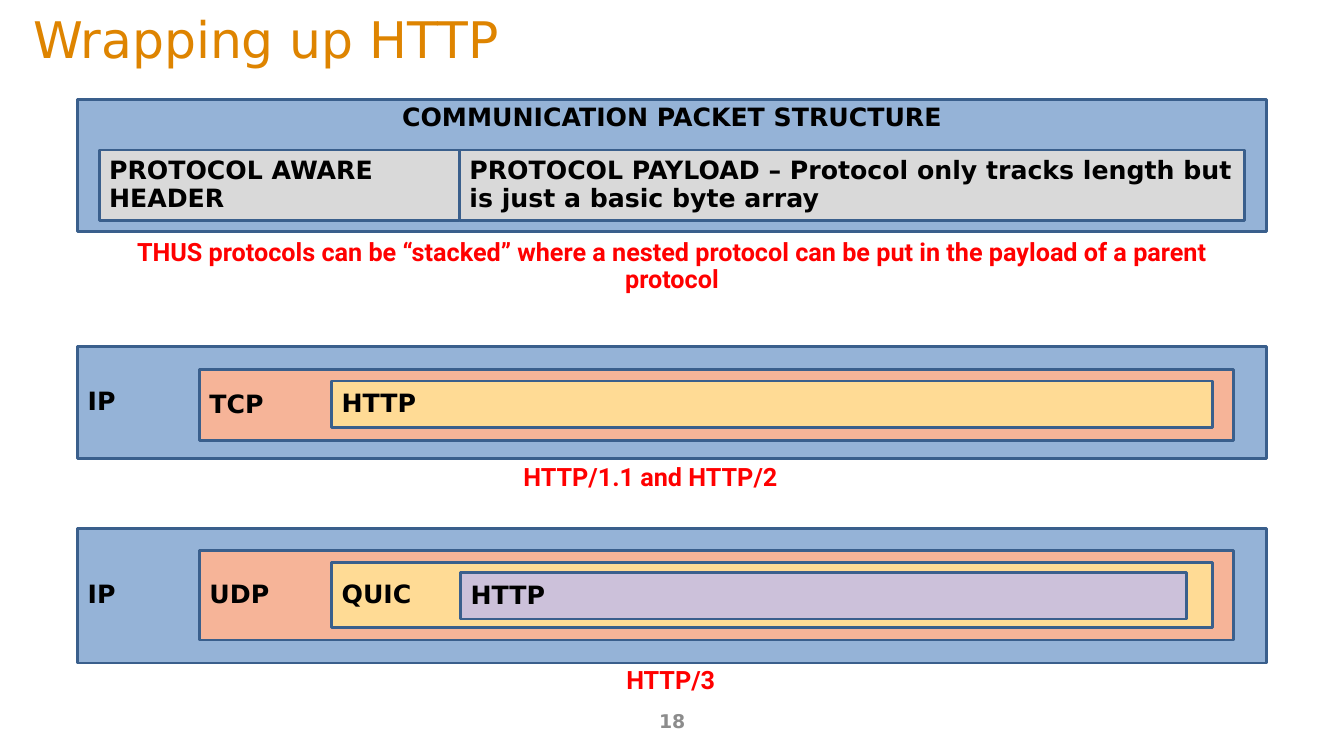
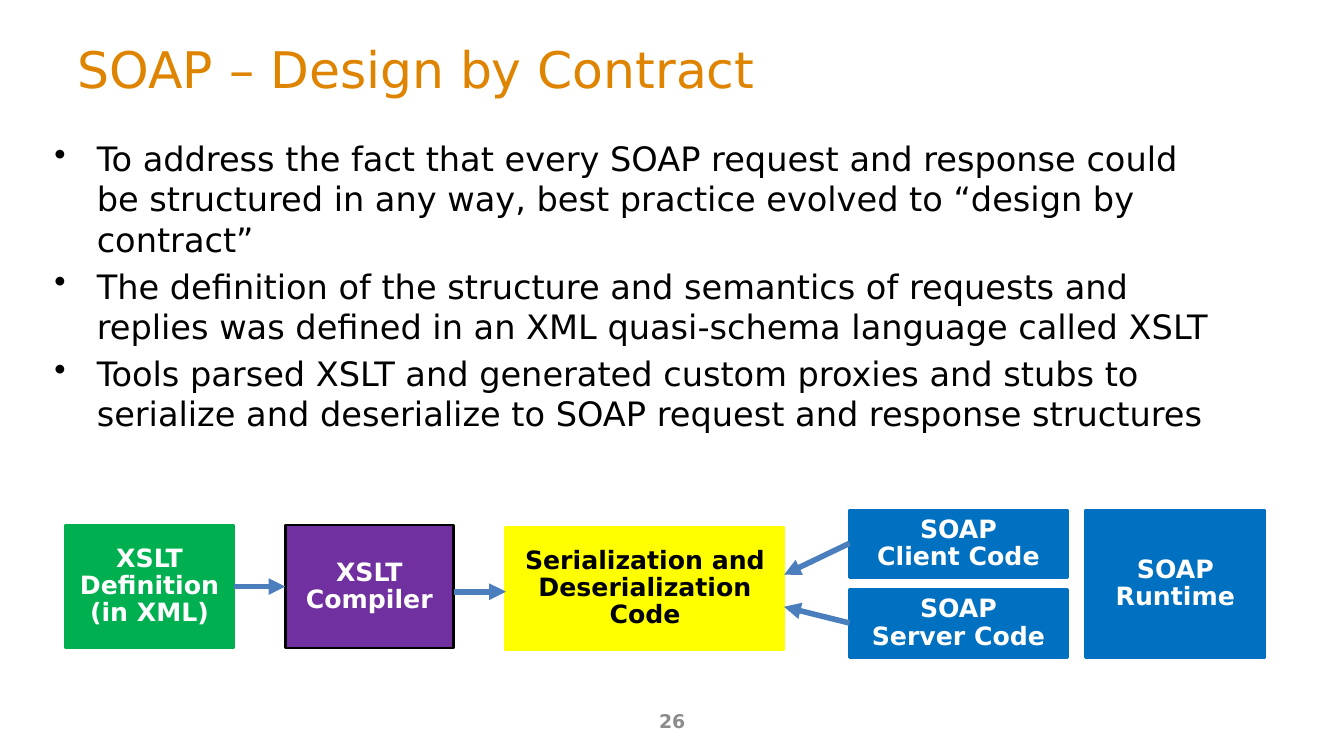
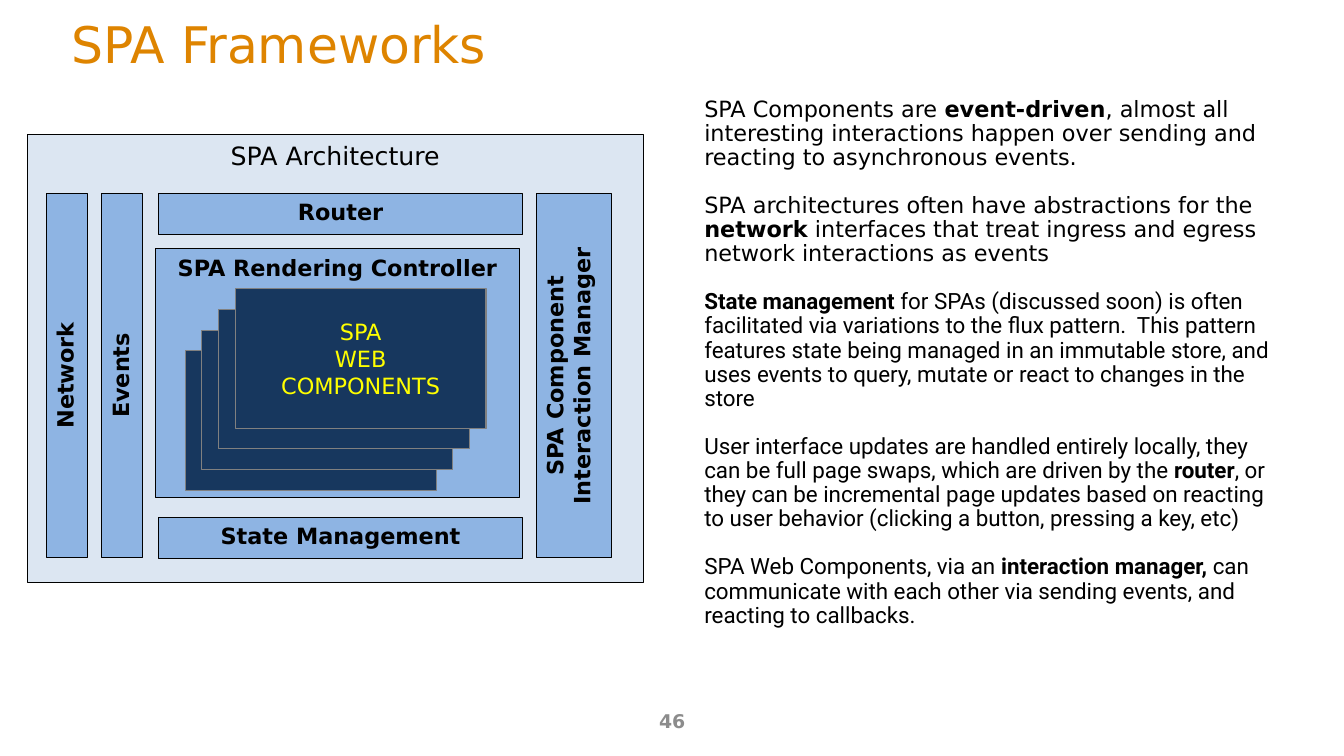
"""Build three slides on protocol stacks, SOAP contracts and SPA frameworks."""
from lxml.etree import SubElement
from pptx import Presentation
from pptx.dml.color import RGBColor
from pptx.enum.shapes import MSO_CONNECTOR, MSO_SHAPE
from pptx.enum.text import MSO_ANCHOR, PP_ALIGN
from pptx.oxml.ns import qn
from pptx.util import Cm, Pt

ORANGE = RGBColor(0xDE, 0x84, 0x00)
GRAY = RGBColor(0x8C, 0x8C, 0x8C)
BLACK = RGBColor(0x00, 0x00, 0x00)
WHITE = RGBColor(0xFF, 0xFF, 0xFF)
RED = RGBColor(0xFF, 0x00, 0x00)
YELLOW = RGBColor(0xFF, 0xFF, 0x00)
GREEN = RGBColor(0x00, 0xB0, 0x50)
PURPLE = RGBColor(0x70, 0x30, 0xA0)
BLUE = RGBColor(0x00, 0x70, 0xC0)
ARROW_BLUE = RGBColor(0x4B, 0x7E, 0xBC)
STEEL = RGBColor(0x95, 0xB3, 0xD7)
STEEL_EDGE = RGBColor(0x3A, 0x5F, 0x8C)
SALMON = RGBColor(0xF6, 0xB4, 0x98)
GOLD = RGBColor(0xFF, 0xDB, 0x95)
LILAC = RGBColor(0xCC, 0xC1, 0xDA)
SILVER = RGBColor(0xD9, 0xD9, 0xD9)
PALE_BLUE = RGBColor(0xDC, 0xE6, 0xF2)
SKY = RGBColor(0x8E, 0xB4, 0xE3)
NAVY = RGBColor(0x17, 0x37, 0x5E)
NAVY_EDGE = RGBColor(0x80, 0x80, 0x80)
MAIN_FONT = "DejaVu Sans"
SECOND_FONT = "Roboto"


def write_text(box, text, size=18, color=BLACK, bold=False, font=MAIN_FONT,
               align=PP_ALIGN.LEFT, anchor=MSO_ANCHOR.MIDDLE, spacing=1.0,
               gap=0, bullet_indent=None):
    """Write one paragraph per line of text; ** toggles bold."""
    frame = box.text_frame
    frame.word_wrap = True
    frame.vertical_anchor = anchor
    for index, line in enumerate(text.split("\n")):
        para = frame.add_paragraph() if index else frame.paragraphs[0]
        para.alignment = align
        para.line_spacing = spacing
        para.space_before = Pt(gap if index else 0)
        if bullet_indent:
            properties = para._p.get_or_add_pPr()
            properties.set("marL", str(Cm(bullet_indent)))
            properties.set("indent", str(-Cm(bullet_indent)))
            SubElement(properties, qn("a:buChar")).set("char", "•")
        for part, words in enumerate(line.split("**")):
            span = para.add_run()
            span.text = words
            span.font.name = font
            span.font.size = Pt(size)
            span.font.bold = bold or part % 2 == 1
            span.font.color.rgb = color


def add_box(page, text, place, fill=None, edge=None, edge_width=2, rotation=0, **text_format):
    """Add a filled rectangle, or a plain text box when there is no fill."""
    place = [Cm(length) for length in place]
    if fill is None:
        box = page.shapes.add_textbox(*place)
    else:
        box = page.shapes.add_shape(MSO_SHAPE.RECTANGLE, *place)
        box.shadow.inherit = False
        box.fill.solid()
        box.fill.fore_color.rgb = fill
        box.line.color.rgb = edge
        box.line.width = Pt(edge_width)
        box.rotation = rotation
    if text:
        write_text(box, text, **text_format)
    return box


deck = Presentation()
deck.slide_width = Cm(33.87)
deck.slide_height = Cm(19.05)

pages = []
for title, number, left, top, width in [
    ("Wrapping up HTTP", "18", 0.58, 0, 32.66),
    ("SOAP – Design by Contract", "26", 1.7, 0.76, 30.48),
    ("SPA Frameworks", "46", 1.55, 0.13, 30.38),
]:
    page = deck.slides.add_slide(deck.slide_layouts[5])
    heading = page.shapes.title
    heading.left, heading.top = Cm(left), Cm(top)
    heading.width, heading.height = Cm(width), Cm(1.93)
    write_text(heading, title, size=36, color=ORANGE)
    add_box(page, number, (11.58, 17.65, 10.72, 1.02), size=13.5, color=GRAY,
            bold=True, align=PP_ALIGN.CENTER)
    pages.append(page)
protocol_page, soap_page, spa_page = pages

layers = [(1.96, 29.95, STEEL), (5.03, 26.06, SALMON), (8.36, 22.2, GOLD), (11.61, 18.29, LILAC)]
stacks = [
    [("IP", 8.74, 2.82), ("TCP", 9.32, 1.78), ("HTTP", 9.6, 1.17)],
    [("IP", 13.31, 3.4), ("UDP", 13.87, 2.26), ("QUIC", 14.17, 1.65), ("HTTP", 14.43, 1.17)],
]
for stack in stacks:
    for (name, top, height), (left, width, fill) in zip(stack, layers):
        add_box(protocol_page, name, (left, top, width, height), fill, STEEL_EDGE,
                bold=True, spacing=0.9)

add_box(protocol_page, "COMMUNICATION PACKET STRUCTURE", (1.96, 2.51, 29.95, 3.33), STEEL,
        STEEL_EDGE, bold=True, spacing=0.9, align=PP_ALIGN.CENTER, anchor=MSO_ANCHOR.TOP)
for text, left, width in [
    ("PROTOCOL AWARE HEADER", 2.5, 9.07),
    ("PROTOCOL PAYLOAD – Protocol only tracks length but is just a basic byte array", 11.58, 19.79),
]:
    add_box(protocol_page, text, (left, 3.78, width, 1.78), SILVER, STEEL_EDGE,
            bold=True, spacing=0.9)

for text, left, top, height in [
    ("THUS protocols can be “stacked” where a nested protocol can be put in the payload of a "
     "parent protocol", 1.96, 5.92, 1.65),
    ("HTTP/1.1 and HTTP/2", 1.42, 11.58, 0.97),
    ("HTTP/3", 1.93, 16.7, 0.97),
]:
    add_box(protocol_page, text, (left, top, 29.95, height), color=RED, bold=True,
            font=SECOND_FONT, spacing=0.9, align=PP_ALIGN.CENTER, anchor=MSO_ANCHOR.TOP)

practices = "\n".join([
    "To address the fact that every SOAP request and response could be structured in any way, "
    "best practice evolved to “design by contract”",
    "The definition of the structure and semantics of requests and replies was defined in an "
    "XML quasi-schema language called XSLT",
    "Tools parsed XSLT and generated custom proxies and stubs to serialize and deserialize to "
    "SOAP request and response structures",
])
add_box(soap_page, practices, (1.12, 3.35, 29.74, 8.6), size=24, gap=4.8,
        bullet_indent=1.07, anchor=MSO_ANCHOR.TOP)

for text, place, fill, edge, color in [
    ("XSLT\nDefinition\n(in XML)", (1.65, 13.23, 4.24, 3.1), GREEN, GREEN, WHITE),
    ("XSLT\nCompiler", (7.19, 13.23, 4.24, 3.1), PURPLE, BLACK, WHITE),
    ("Serialization and Deserialization Code", (12.75, 13.28, 7.01, 3.1), YELLOW, YELLOW, BLACK),
    ("SOAP\nClient Code", (21.41, 12.85, 5.49, 1.7), BLUE, BLUE, WHITE),
    ("SOAP\nServer Code", (21.41, 14.86, 5.49, 1.7), BLUE, BLUE, WHITE),
    ("SOAP\nRuntime", (27.36, 12.85, 4.52, 3.71), BLUE, BLUE, WHITE),
]:
    add_box(soap_page, text, place, fill, edge, color=color, bold=True, spacing=0.9,
            align=PP_ALIGN.CENTER)

for ends in [
    (5.89, 14.78, 7.19, 14.78),
    (11.43, 14.91, 12.75, 14.91),
    (21.41, 13.69, 19.76, 14.48),
    (21.41, 15.7, 19.76, 15.29),
]:
    arrow = soap_page.shapes.add_connector(MSO_CONNECTOR.STRAIGHT, *[Cm(end) for end in ends])
    arrow.line.color.rgb = ARROW_BLUE
    arrow.line.width = Pt(4)
    SubElement(arrow.line._get_or_add_ln(), qn("a:tailEnd")).set("type", "triangle")
    SubElement(arrow._element.spPr, qn("a:effectLst"))

explanation = "\n".join([
    "SPA Components are **event-driven**, almost all interesting interactions happen over "
    "sending and reacting to asynchronous events.",
    "SPA architectures often have abstractions for the **network** interfaces that treat "
    "ingress and egress network interactions as events",
    "**State management **for SPAs (discussed soon) is often facilitated via variations to the "
    "flux pattern.  This pattern features state being managed in an immutable store, and uses "
    "events to query, mutate or react to changes in the store",
    "User interface updates are handled entirely locally, they can be full page swaps, which "
    "are driven by the **router**, or they can be incremental page updates based on reacting "
    "to user behavior (clicking a button, pressing a key, etc)",
    "SPA Web Components, via an **interaction manager, **can communicate with each other via "
    "sending events, and reacting to callbacks.",
])
explanation_box = add_box(spa_page, explanation, (17.5, 2.34, 15.19, 15.04), size=16,
                          spacing=0.9, gap=17, anchor=MSO_ANCHOR.TOP)
for para in explanation_box.text_frame.paragraphs[2:]:
    for span in para.runs:
        span.font.name = SECOND_FONT

add_box(spa_page, "SPA Architecture", (0.69, 3.4, 15.52, 11.28), PALE_BLUE, BLACK, 0.75,
        align=PP_ALIGN.CENTER, anchor=MSO_ANCHOR.TOP)
for text, place, rotation in [
    ("Router", (3.99, 4.88, 9.19, 1.04), 0),
    ("State Management", (3.99, 13.03, 9.19, 1.04), 0),
    ("SPA Rendering Controller", (3.91, 6.27, 9.19, 6.27), 0),
    ("Network", (-2.9, 8.94, 9.17, 1.04), 270),
    ("Events", (-1.5, 8.94, 9.17, 1.04), 270),
    ("SPA Component\nInteraction Manager", (9.88, 8.51, 9.17, 1.91), 270),
]:
    add_box(spa_page, text, place, SKY, BLACK, 0.75, rotation, size=16, bold=True,
            align=PP_ALIGN.CENTER, anchor=MSO_ANCHOR.TOP)

for step, text in enumerate(["", "", "", "SPA\nWEB\nCOMPONENTS"]):
    add_box(spa_page, text, (4.67 + 0.42 * step, 8.84 - 0.52 * step, 6.32, 3.51), NAVY,
            NAVY_EDGE, 0.75, size=16, color=YELLOW, align=PP_ALIGN.CENTER)

deck.save("out.pptx")
